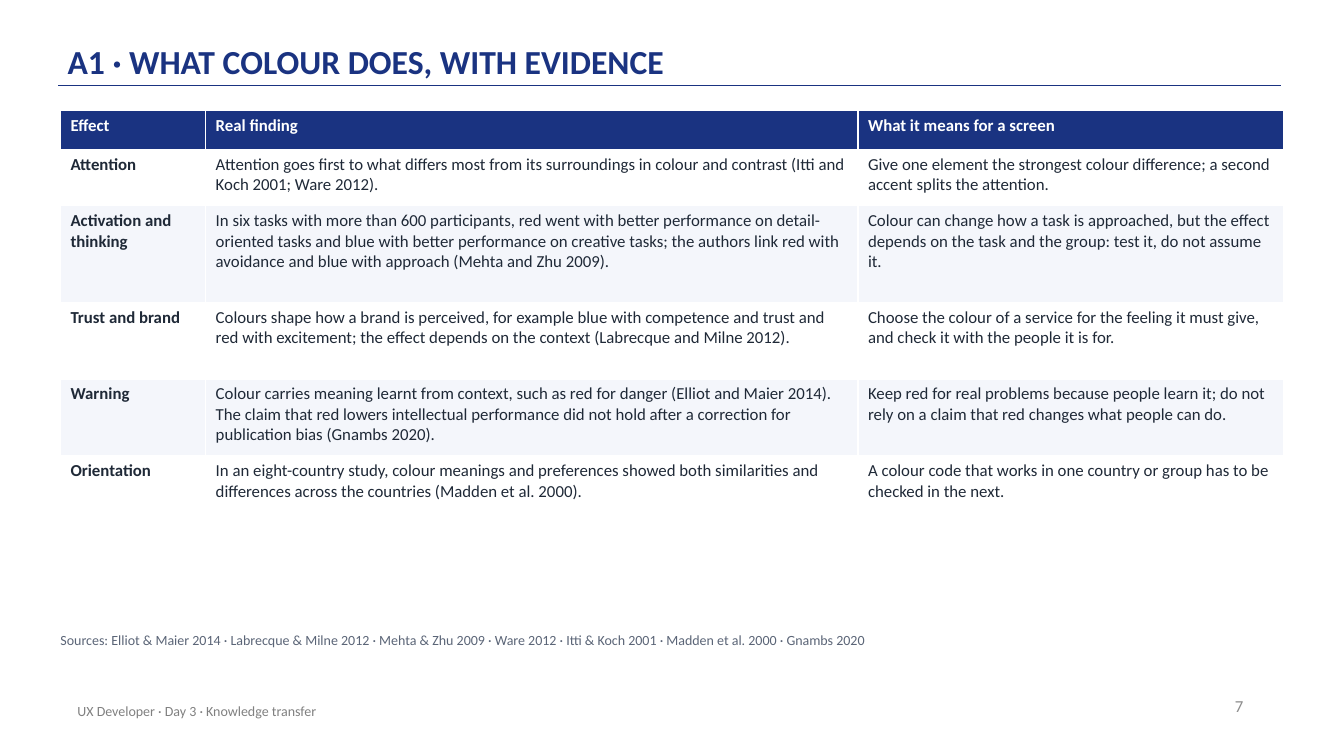
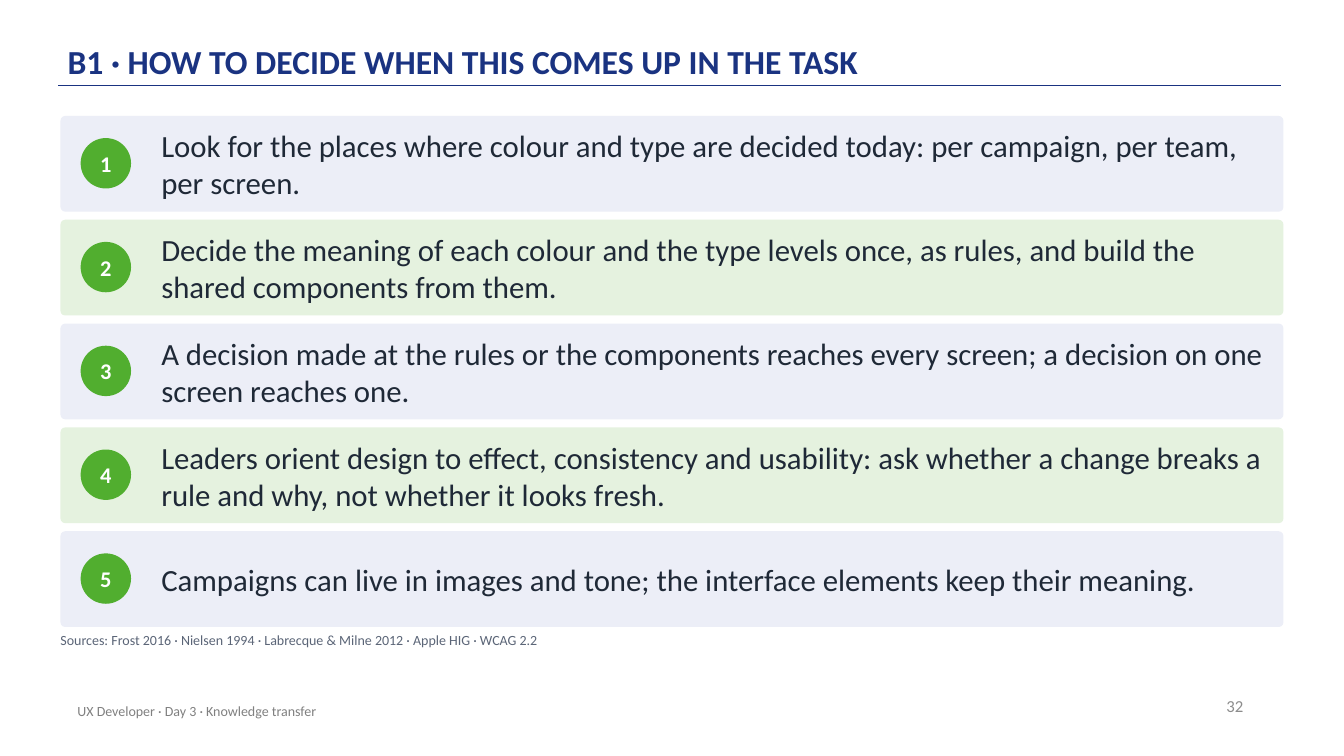
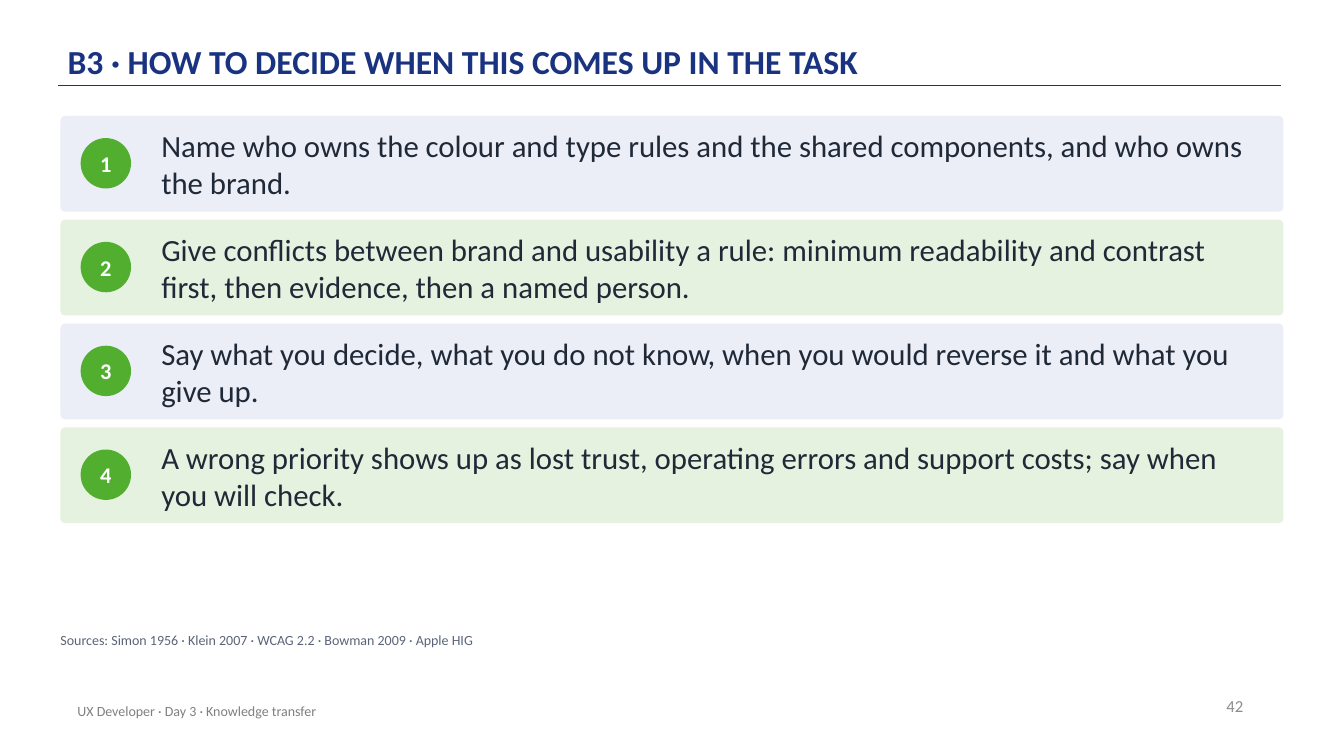
from pptx import Presentation
from pptx.dml.color import RGBColor
from pptx.enum.shapes import MSO_CONNECTOR as Connector, MSO_SHAPE as Preset
from pptx.enum.text import MSO_ANCHOR as Anchor, MSO_AUTO_SIZE as AutoSize, PP_ALIGN as Align
from pptx.oxml.ns import qn
from pptx.util import Emu, Pt
from lxml import etree

FONT = "Calibri"
NAVY, GREEN, WHITE, INK = "1A3381", "51AE2F", "FFFFFF", "1F2937"
PAGE_GREY, FOOTER_GREY, SOURCE_GREY = "8C8C8C", "808080", "5B6577"
STRIPES = (WHITE, "F4F6FB")
BAR_FILLS = ("ECEEF7", "E5F2DF")
FOOTER = "UX Developer · Day 3 · Knowledge transfer"
LEFT, CONTENT_WIDTH = 60, 1213
BAR_TOP, BAR_HEIGHT, BAR_GAP, BADGE = 115, 95, 8, 50
COLUMN_WIDTHS = (144, 647, 422)
ROW_HEIGHTS = (38, 56, 96, 76, 76, 56)

EFFECTS = (
    ("Effect", "Real finding", "What it means for a screen"),
    ("Attention",
     "Attention goes first to what differs most from its surroundings in colour and contrast "
     "(Itti and Koch 2001; Ware 2012).",
     "Give one element the strongest colour difference; a second accent splits the attention."),
    ("Activation and thinking",
     "In six tasks with more than 600 participants, red went with better performance on "
     "detail-oriented tasks and blue with better performance on creative tasks; the authors link "
     "red with avoidance and blue with approach (Mehta and Zhu 2009).",
     "Colour can change how a task is approached, but the effect depends on the task and the "
     "group: test it, do not assume it."),
    ("Trust and brand",
     "Colours shape how a brand is perceived, for example blue with competence and trust and red "
     "with excitement; the effect depends on the context (Labrecque and Milne 2012).",
     "Choose the colour of a service for the feeling it must give, and check it with the people "
     "it is for."),
    ("Warning",
     "Colour carries meaning learnt from context, such as red for danger (Elliot and Maier 2014). "
     "The claim that red lowers intellectual performance did not hold after a correction for "
     "publication bias (Gnambs 2020).",
     "Keep red for real problems because people learn it; do not rely on a claim that red changes "
     "what people can do."),
    ("Orientation",
     "In an eight-country study, colour meanings and preferences showed both similarities and "
     "differences across the countries (Madden et al. 2000).",
     "A colour code that works in one country or group has to be checked in the next."),
)
TASK_STEPS = (
    "Look for the places where colour and type are decided today: per campaign, per team, per screen.",
    "Decide the meaning of each colour and the type levels once, as rules, and build the shared "
    "components from them.",
    "A decision made at the rules or the components reaches every screen; a decision on one screen "
    "reaches one.",
    "Leaders orient design to effect, consistency and usability: ask whether a change breaks a rule "
    "and why, not whether it looks fresh.",
    "Campaigns can live in images and tone; the interface elements keep their meaning.",
)
OWNER_STEPS = (
    "Name who owns the colour and type rules and the shared components, and who owns the brand.",
    "Give conflicts between brand and usability a rule: minimum readability and contrast first, then "
    "evidence, then a named person.",
    "Say what you decide, what you do not know, when you would reverse it and what you give up.",
    "A wrong priority shows up as lost trust, operating errors and support costs; say when you will "
    "check.",
)


def px(length):
    """Turn px, 100 to the inch, into EMU."""
    return Emu(length * 9144)


def color(value):
    """Return the colour of a hex string."""
    return RGBColor.from_string(value)


def write(frame, text, size, ink, bold=False, align=Align.LEFT):
    """Fill a text frame with one formatted paragraph."""
    frame.text = text
    frame.word_wrap = True
    paragraph = frame.paragraphs[0]
    paragraph.alignment = align
    font = paragraph.runs[0].font
    font.name, font.size, font.bold = FONT, Pt(size), bold
    font.color.rgb = color(ink)
    return paragraph


def set_margins(frame, horizontal, vertical):
    """Set the inner margins of a text frame in px."""
    frame.margin_left = frame.margin_right = px(horizontal)
    frame.margin_top = frame.margin_bottom = px(vertical)


def add_text(slide, box, text, size, ink, align=Align.LEFT, anchor=Anchor.MIDDLE, margins=(0, 0)):
    """Add a text box."""
    frame = slide.shapes.add_textbox(*map(px, box)).text_frame
    write(frame, text, size, ink, align=align)
    frame.vertical_anchor = anchor
    set_margins(frame, *margins)


def add_filled(slide, preset, box, fill):
    """Add a flat preset shape without outline."""
    shape = slide.shapes.add_shape(preset, *map(px, box))
    shape.shadow.inherit = False
    shape.fill.solid()
    shape.fill.fore_color.rgb = color(fill)
    shape.line.fill.background()
    return shape


def add_rule(slide):
    """Add the line under the title."""
    rule = slide.shapes.add_connector(Connector.STRAIGHT, px(58), px(85), px(1271), px(85))
    rule.line.color.rgb = color(NAVY)
    rule.line.width = Pt(1)
    etree.SubElement(rule._element.spPr, qn("a:effectLst"))


def add_page(presentation, title, number, sources):
    """Add a slide with title, rule, page number, footer and sources."""
    slide = presentation.slides.add_slide(presentation.slide_layouts[5])
    add_rule(slide)
    heading = slide.shapes.title
    heading.left, heading.top, heading.width, heading.height = map(px, (67, 12, 1100, 72))
    frame = heading.text_frame
    write(frame, title, 24, NAVY, bold=True).line_spacing = 0.9
    frame.auto_size = AutoSize.NONE
    frame.vertical_anchor = Anchor.BOTTOM
    set_margins(frame, 0, 3)
    add_text(slide, (943, 680, 300, 40), str(number), 12, PAGE_GREY, Align.RIGHT, margins=(10, 5))
    add_text(slide, (67, 685, 670, 40), FOOTER, 10, FOOTER_GREY, margins=(10, 5))
    add_text(slide, (LEFT, 627, 1210, 30), "Sources: " + sources, 10, SOURCE_GREY, anchor=Anchor.TOP)
    return slide


def add_effect_table(slide):
    """Add the striped table of colour effects."""
    box = (LEFT, 110, CONTENT_WIDTH, sum(ROW_HEIGHTS))
    table = slide.shapes.add_table(len(EFFECTS), len(COLUMN_WIDTHS), *map(px, box)).table
    table.horz_banding = False
    for column, width in zip(table.columns, COLUMN_WIDTHS):
        column.width = px(width)
    for row_index, (row, height, texts) in enumerate(zip(table.rows, ROW_HEIGHTS, EFFECTS)):
        row.height = px(height)
        header = row_index == 0
        fill = NAVY if header else STRIPES[(row_index - 1) % 2]
        for column_index, (cell, text) in enumerate(zip(row.cells, texts)):
            cell.fill.solid()
            cell.fill.fore_color.rgb = color(fill)
            write(cell.text_frame, text, 12, WHITE if header else INK, header or column_index == 0)


def add_steps(slide, steps):
    """Add a numbered bar for each step."""
    for index, step in enumerate(steps):
        top = BAR_TOP + index * (BAR_HEIGHT + BAR_GAP)
        bar = add_filled(slide, Preset.ROUNDED_RECTANGLE, (LEFT, top, CONTENT_WIDTH, BAR_HEIGHT),
                         BAR_FILLS[index % 2])
        bar.adjustments[0] = 0.05
        badge_top = top + (BAR_HEIGHT - BADGE) // 2
        badge = add_filled(slide, Preset.OVAL, (LEFT + 20, badge_top, BADGE, BADGE), GREEN)
        write(badge.text_frame, str(index + 1), 16, WHITE, bold=True, align=Align.CENTER)
        badge.text_frame.vertical_anchor = Anchor.MIDDLE
        set_margins(badge.text_frame, 0, 0)
        add_text(slide, (LEFT + 100, top, CONTENT_WIDTH - 120, BAR_HEIGHT), step, 22, INK)


def main():
    """Build and save the presentation."""
    presentation = Presentation()
    presentation.slide_width, presentation.slide_height = px(1333), px(750)
    effects = add_page(
        presentation, "A1 · WHAT COLOUR DOES, WITH EVIDENCE", 7,
        "Elliot & Maier 2014 · Labrecque & Milne 2012 · Mehta & Zhu 2009 · Ware 2012 · "
        "Itti & Koch 2001 · Madden et al. 2000 · Gnambs 2020")
    add_effect_table(effects)
    task = add_page(
        presentation, "B1 · HOW TO DECIDE WHEN THIS COMES UP IN THE TASK", 32,
        "Frost 2016 · Nielsen 1994 · Labrecque & Milne 2012 · Apple HIG · WCAG 2.2")
    add_steps(task, TASK_STEPS)
    owners = add_page(
        presentation, "B3 · HOW TO DECIDE WHEN THIS COMES UP IN THE TASK", 42,
        "Simon 1956 · Klein 2007 · WCAG 2.2 · Bowman 2009 · Apple HIG")
    add_steps(owners, OWNER_STEPS)
    presentation.save("out.pptx")


if __name__ == "__main__":
    main()
